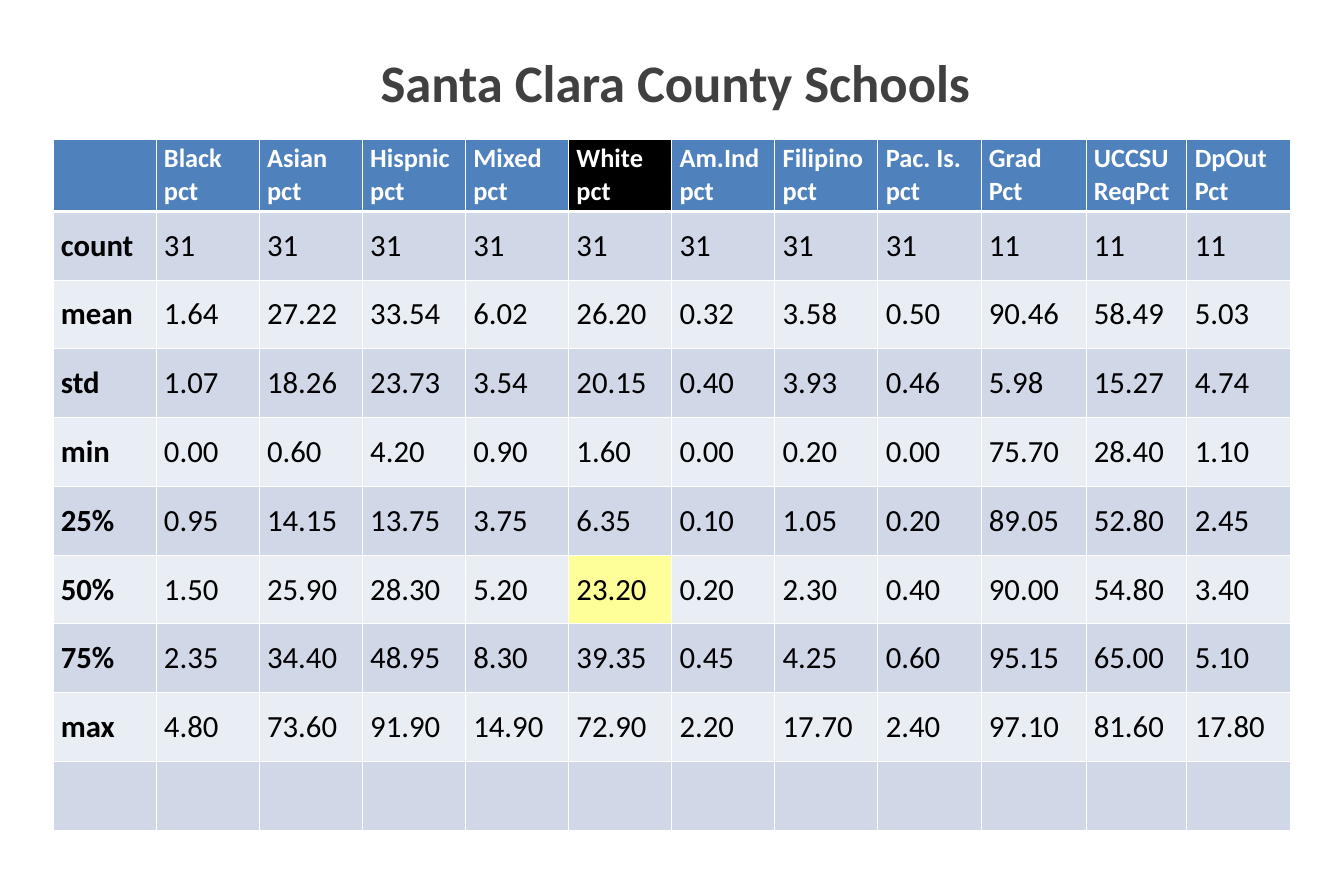
from lxml import etree
from pptx import Presentation, util as u
from pptx.dml.color import RGBColor
from pptx.enum import text
from pptx.oxml.ns import qn

SCALE = 914400 / 79.1
FONT = "Calibri"
WHITE = RGBColor(0xFF, 0xFF, 0xFF)
BLACK = RGBColor(0, 0, 0)
GREY = RGBColor(0x40, 0x40, 0x40)
BLUE = RGBColor(0x4F, 0x81, 0xBD)
DARK = RGBColor(0xD0, 0xD8, 0xE8)
LIGHT = RGBColor(0xE9, 0xED, 0xF4)
YELLOW = RGBColor(0xFF, 0xFF, 0x99)

# Column heads, one word per line
HEADS = [
    "", "Black pct", "Asian pct", "Hispnic pct", "Mixed pct", "White pct",
    "Am.Ind pct", "Filipino pct", "Pac.\u00a0Is. pct", "Grad Pct",
    "UCCSU ReqPct", "DpOut Pct",
]
STATS = [
    "count 31 31 31 31 31 31 31 31 11 11 11",
    "mean 1.64 27.22 33.54 6.02 26.20 0.32 3.58 0.50 90.46 58.49 5.03",
    "std 1.07 18.26 23.73 3.54 20.15 0.40 3.93 0.46 5.98 15.27 4.74",
    "min 0.00 0.60 4.20 0.90 1.60 0.00 0.20 0.00 75.70 28.40 1.10",
    "25% 0.95 14.15 13.75 3.75 6.35 0.10 1.05 0.20 89.05 52.80 2.45",
    "50% 1.50 25.90 28.30 5.20 23.20 0.20 2.30 0.40 90.00 54.80 3.40",
    "75% 2.35 34.40 48.95 8.30 39.35 0.45 4.25 0.60 95.15 65.00 5.10",
    "max 4.80 73.60 91.90 14.90 72.90 2.20 17.70 2.40 97.10 81.60 17.80",
]
WIDTHS = {9: 105, 10: 101}  # the other columns share the rest
MARKS = {(0, 5): BLACK, (6, 5): YELLOW}


def px(n):
    return round(n * SCALE)


def add_run(para, words, size, color, bold):
    run = para.add_run()
    run.text = words
    font = run.font
    font.name, font.size, font.bold = FONT, u.Pt(size), bold
    font.color.rgb = color


def add_lines(frame, lines, size, color, bold):
    for i, line in enumerate(lines):
        para = frame.add_paragraph() if i else frame.paragraphs[0]
        add_run(para, line, size, color, bold)


def set_edges(cell, top, low):
    props = cell._tc.get_or_add_tcPr()
    for side, width in zip("LRTB", (1, 1, top, low)):
        line = etree.SubElement(props, qn("a:ln" + side), w=str(u.Pt(width)))
        fill = etree.SubElement(line, qn("a:solidFill"))
        etree.SubElement(fill, qn("a:srgbClr"), val=str(WHITE))


def fill_cell(cell, row, col, lines):
    head = row == 0
    set_edges(cell, 3 if row == 1 else 1, 3 if head else 1)
    band = BLUE if head else DARK if row % 2 else LIGHT
    cell.fill.solid()
    cell.fill.fore_color.rgb = MARKS.get((row, col), band)
    cell.vertical_anchor = text.MSO_ANCHOR.MIDDLE
    size, color = (24, WHITE) if head else (28, BLACK)
    add_lines(cell.text_frame, lines, size, color, head or col == 0)


def add_stats(slide, left, top, width, height):
    # Head row, statistics, and an empty last row
    rows = [[head.split(" ") if head else [] for head in HEADS]]
    rows += [[[word] for word in line.split()] for line in STATS]
    rows.append([[] for _ in HEADS])
    table = slide.shapes.add_table(
        len(rows), len(HEADS), px(left), px(top), px(width), px(height)).table
    table.first_row = table.horz_banding = False
    rest = (width - sum(WIDTHS.values())) / (len(HEADS) - len(WIDTHS))
    for i, col in enumerate(table.columns):
        col.width = px(WIDTHS.get(i, rest))
    for r, row in enumerate(rows):
        for c, lines in enumerate(row):
            fill_cell(table.cell(r, c), r, c, lines)


def add_title(slide, words, left, top, width, height):
    box = slide.shapes.add_textbox(px(left), px(top), px(width), px(height))
    box.text_frame.word_wrap = False
    box.text_frame.auto_size = text.MSO_AUTO_SIZE.SHAPE_TO_FIT_TEXT
    add_lines(box.text_frame, [words], 48, GREY, True)


def main():
    deck = Presentation()
    deck.slide_width, deck.slide_height = u.Inches(17), u.Inches(11)
    slide = deck.slides.add_slide(deck.slide_layouts[6])
    add_stats(slide, 53, 139, 1238, 688)
    add_title(slide, "Santa Clara County Schools", 373, 46, 610, 72)
    deck.save("out.pptx")


main()
